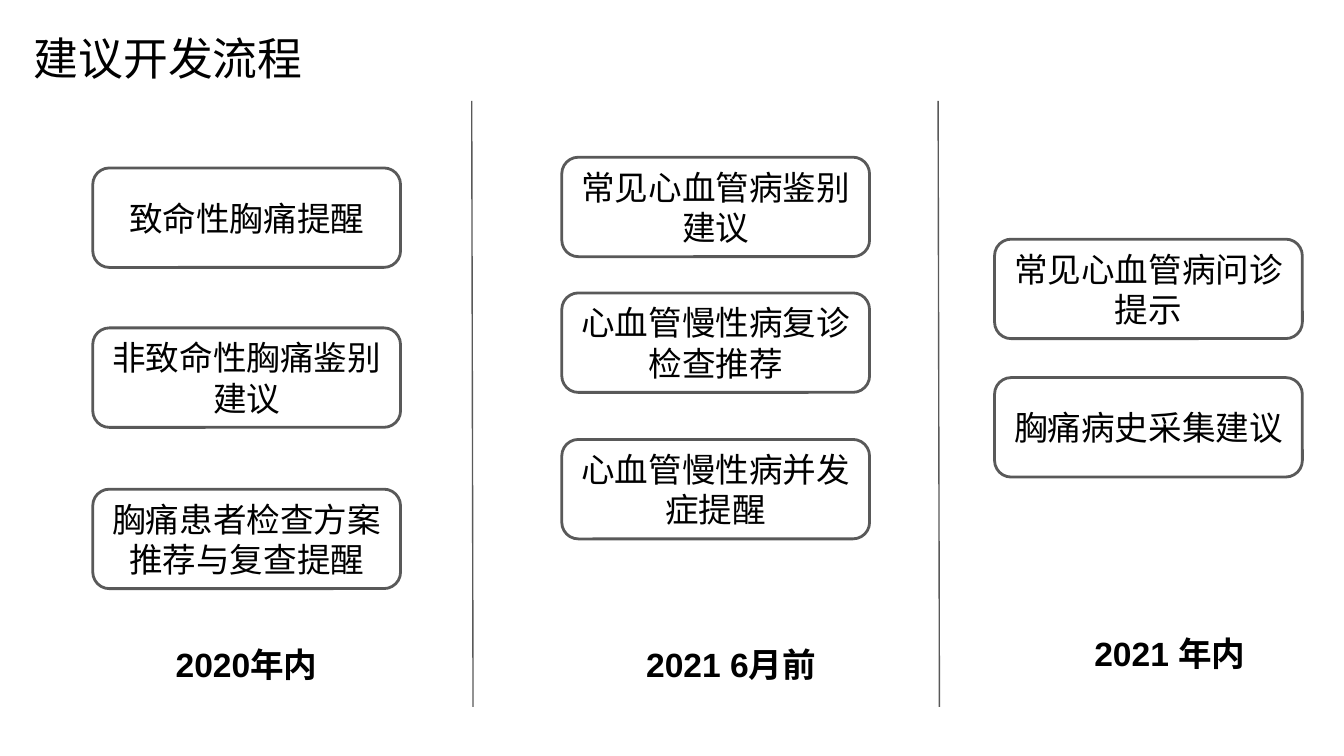
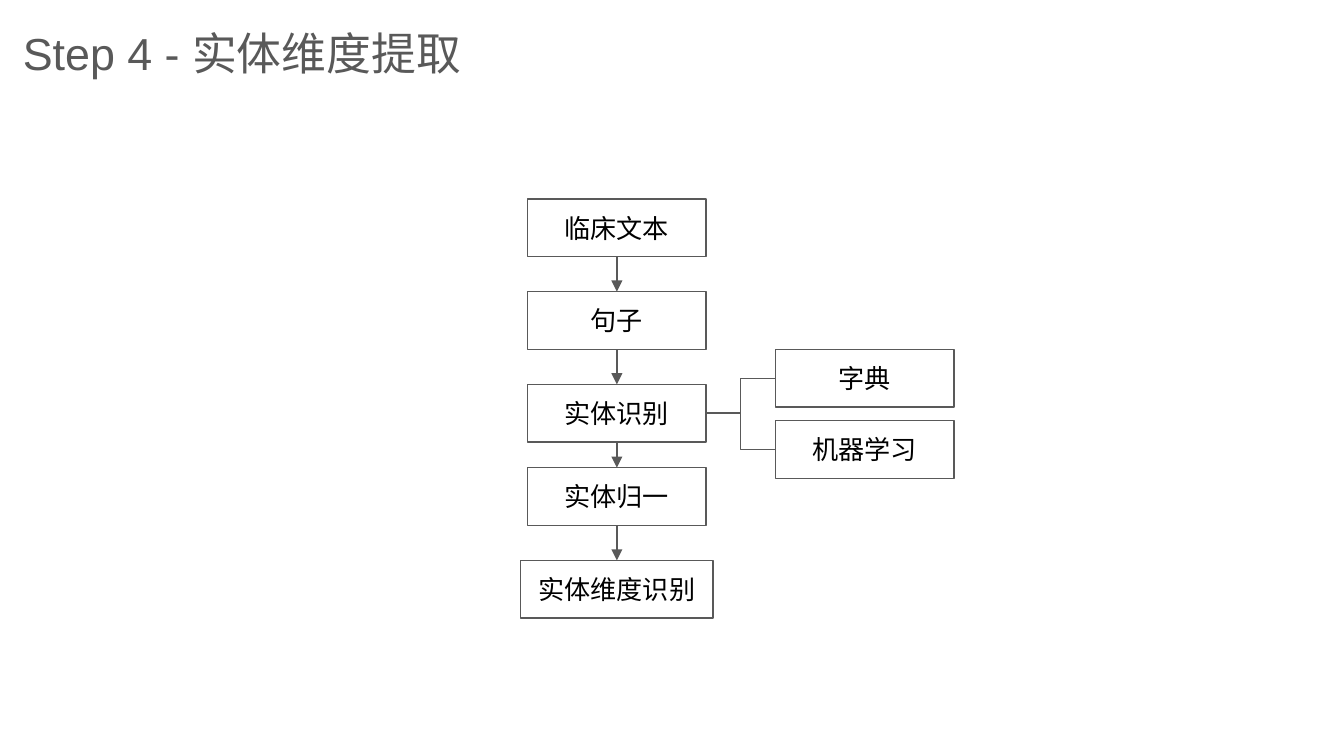
from dataclasses import dataclass
from itertools import pairwise

from lxml import etree
from pptx import Presentation
from pptx import util as u
from pptx.dml.color import RGBColor
from pptx.enum import shapes, text
from pptx.oxml import ns


@dataclass(frozen=True)
class Theme:
    font: str = "Arial"
    black: str = "000000"
    grey: str = "595959"
    white: str = "FFFFFF"
    title_size: int = 24
    stage_size: int = 18
    step_size: int = 14
    thick: float = 1.5
    thin: float = 0.75
    inset: float = 0.1


THEME = Theme()

ROADMAP_TITLE = "建议开发流程"
STAGES = [
    {"left": 0.69, "date": "2020年内", "date_at": (1.17, 4.69, 1.33, 0.46),
     "tasks": [("致命性胸痛提醒", 1.25), ("非致命性胸痛鉴别建议", 2.44),
               ("胸痛患者检查方案推荐与复查提醒", 3.64)]},
    {"left": 4.18, "date": "2021 6月前", "date_at": (4.67, 4.69, 1.54, 0.46),
     "tasks": [("常见心血管病鉴别建议", 1.17), ("心血管慢性病复诊检查推荐", 2.18),
               ("心血管慢性病并发症提醒", 3.27)]},
    {"left": 7.4, "date": "2021 年内", "date_at": (7.89, 4.61, 1.63, 0.46),
     "tasks": [("常见心血管病问诊提示", 1.78), ("胸痛病史采集建议", 2.81)]},
]
TASK_SIZE = (2.29, 0.74)
DIVIDERS = [3.51, 6.98]
DIVIDER_SPAN = (0.75, 5.26)

STEPS_TITLE = "Step 4 - 实体维度提取"
STEPS = [("临床文本", 1.48, 1.33), ("句子", 2.17, 1.33), ("实体识别", 2.86, 1.33),
         ("实体归一", 3.48, 1.33), ("实体维度识别", 4.17, 1.43)]
STEP_CENTRE = 4.59
STEP_HEIGHT = 0.43
BRANCH_STEP = 2
METHODS = [("字典", 2.6), ("机器学习", 3.13)]
METHOD_LEFT, METHOD_WIDTH = 5.77, 1.33
TOP_SITE, LEFT_SITE, BOTTOM_SITE, RIGHT_SITE = range(4)


def inches(values):
    return [u.Inches(value) for value in values]


def write(shape, words, size, color=THEME.black, bold=False,
          align=text.PP_ALIGN.CENTER, anchor=text.MSO_ANCHOR.TOP):
    frame = shape.text_frame
    inset = u.Inches(THEME.inset)
    settings = {"word_wrap": True, "auto_size": text.MSO_AUTO_SIZE.NONE,
                "vertical_anchor": anchor, "margin_left": inset, "margin_right": inset,
                "margin_top": inset, "margin_bottom": inset}
    for name, value in settings.items():
        setattr(frame, name, value)
    para = frame.paragraphs[0]
    para.alignment = align
    span = para.add_run()
    span.text = words
    for name, value in {"size": u.Pt(size), "bold": bold, "name": THEME.font}.items():
        setattr(span.font, name, value)
    span.font.color.rgb = RGBColor.from_string(color)
    east_asian = etree.SubElement(span._r.get_or_add_rPr(), ns.qn("a:ea"))
    east_asian.set("typeface", THEME.font)


def add_page(deck, title, at, color):
    page = deck.slides.add_slide(deck.slide_layouts[5])
    heading = page.shapes.title
    for name, value in zip(("left", "top", "width", "height"), inches(at)):
        setattr(heading, name, value)
    write(heading, title, THEME.title_size, color, align=text.PP_ALIGN.LEFT)
    return page


def set_line(shape, width):
    shape.line.color.rgb = RGBColor.from_string(THEME.grey)
    shape.line.width = u.Pt(width)


def add_box(page, kind, at, words, size, width):
    box = page.shapes.add_shape(kind, *inches(at))
    box.shadow.inherit = False
    box.fill.solid()
    box.fill.fore_color.rgb = RGBColor.from_string(THEME.white)
    set_line(box, width)
    write(box, words, size, anchor=text.MSO_ANCHOR.MIDDLE)
    return box


def add_line(page, kind, ends=(0, 0, 0, 0)):
    line = page.shapes.add_connector(kind, *inches(ends))
    set_line(line, THEME.thin)
    etree.SubElement(line._element.spPr, ns.qn("a:effectLst"))
    return line


def join(page, kind, start, start_site, end, end_site, arrow=False):
    line = add_line(page, kind)
    line.begin_connect(start, start_site)
    line.end_connect(end, end_site)
    if arrow:
        tail = etree.SubElement(line.line._get_or_add_ln(), ns.qn("a:tailEnd"))
        tail.set("type", "triangle")


def build_roadmap(deck):
    page = add_page(deck, ROADMAP_TITLE, (0.15, 0.13, 4.17, 0.55), THEME.black)
    for stage in STAGES:
        for words, top in stage["tasks"]:
            add_box(page, shapes.MSO_SHAPE.ROUNDED_RECTANGLE,
                    (stage["left"], top, *TASK_SIZE), words,
                    THEME.stage_size, THEME.thick)
        label = page.shapes.add_textbox(*inches(stage["date_at"]))
        write(label, stage["date"], THEME.stage_size, bold=True)
    top, bottom = DIVIDER_SPAN
    for x in DIVIDERS:
        add_line(page, shapes.MSO_CONNECTOR.STRAIGHT, (x, top, x + 0.01, bottom))


def build_steps(deck):
    page = add_page(deck, STEPS_TITLE, (0.07, 0.09, 9.5, 0.62), THEME.grey)

    def add_step(words, left, top, width):
        return add_box(page, shapes.MSO_SHAPE.RECTANGLE, (left, top, width, STEP_HEIGHT),
                       words, THEME.step_size, THEME.thin)

    steps = [add_step(words, STEP_CENTRE - width / 2, top, width)
             for words, top, width in STEPS]
    for upper, lower in pairwise(steps):
        join(page, shapes.MSO_CONNECTOR.STRAIGHT, upper, BOTTOM_SITE,
             lower, TOP_SITE, arrow=True)
    for words, top in METHODS:
        method = add_step(words, METHOD_LEFT, top, METHOD_WIDTH)
        join(page, shapes.MSO_CONNECTOR.ELBOW, method, LEFT_SITE,
             steps[BRANCH_STEP], RIGHT_SITE)


def main():
    deck = Presentation()
    deck.slide_width = u.Inches(10)
    deck.slide_height = deck.slide_width * 9 // 16
    build_roadmap(deck)
    build_steps(deck)
    deck.save("out.pptx")


if __name__ == "__main__":
    main()
